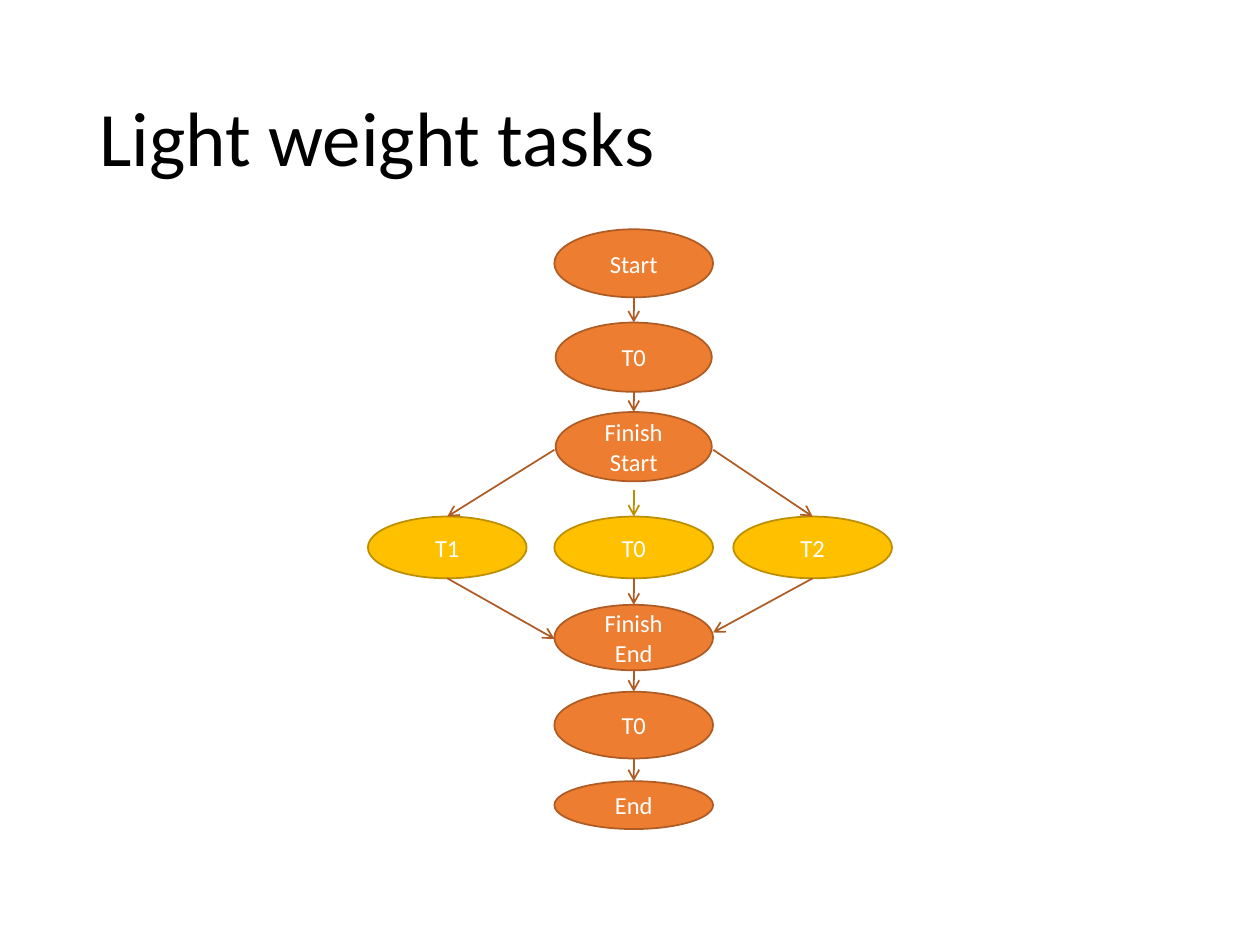
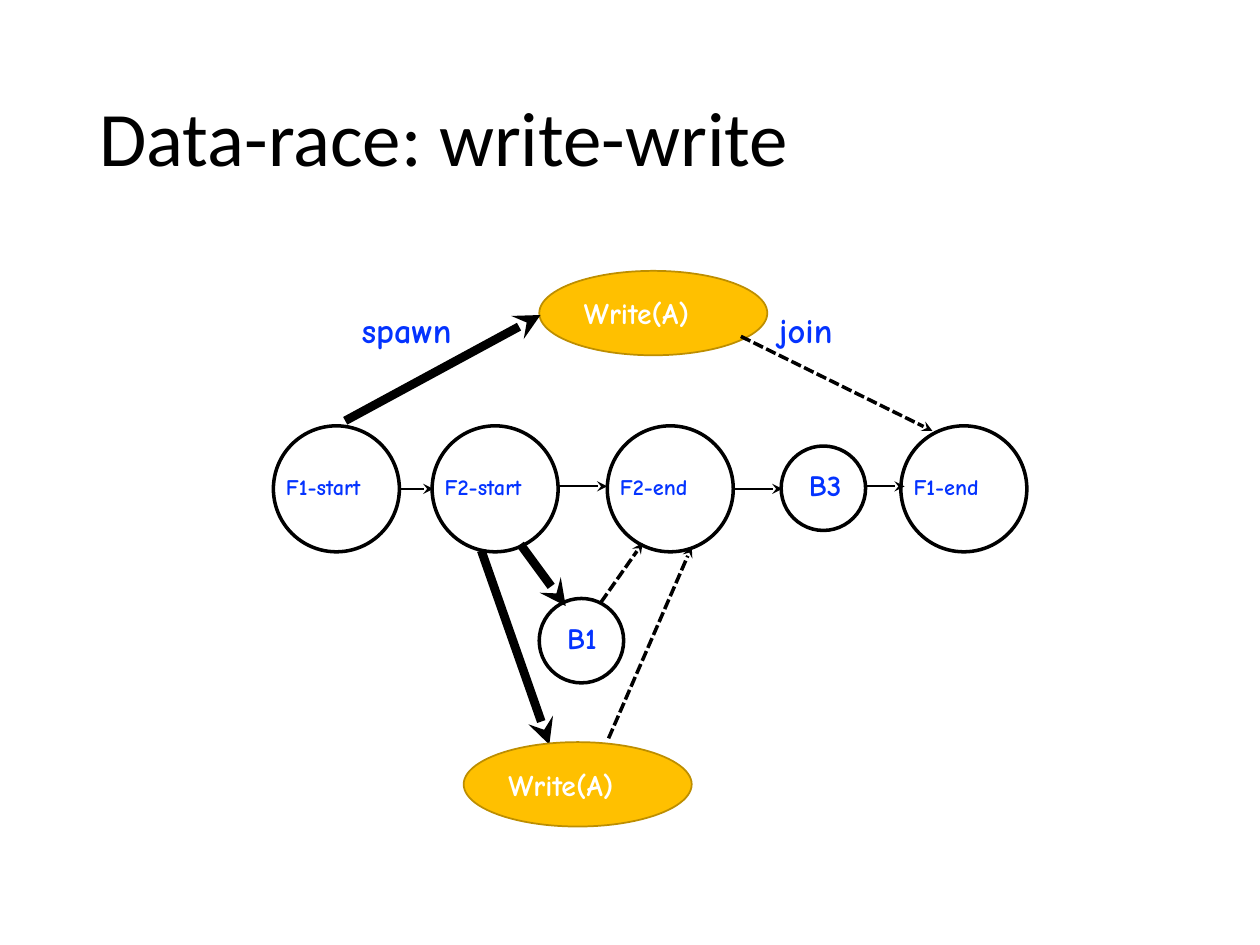
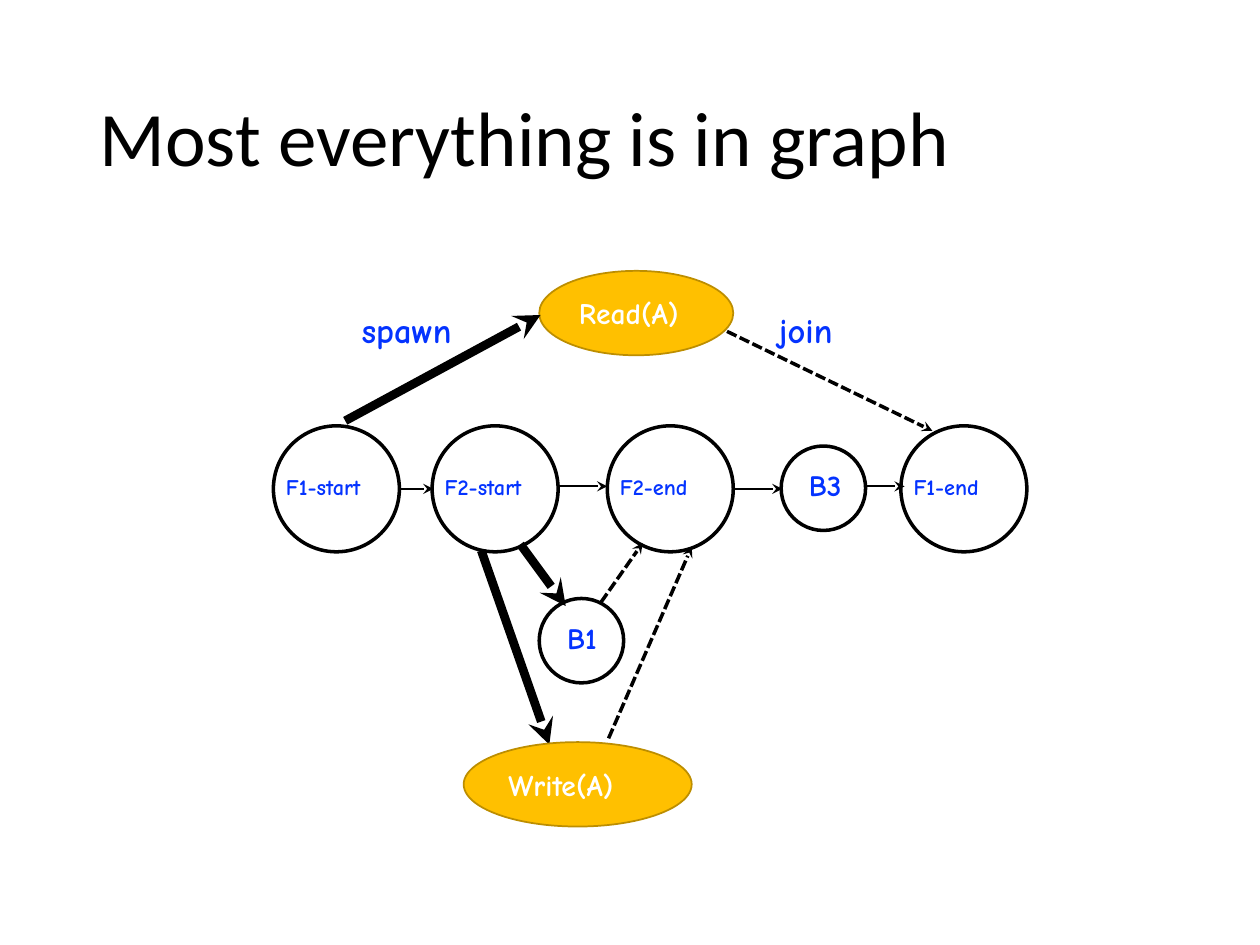
from collections import namedtuple
from dataclasses import dataclass

from pptx import Presentation
from pptx.dml.color import RGBColor
from pptx.enum.dml import MSO_LINE
from pptx.enum.shapes import MSO_CONNECTOR, MSO_SHAPE
from pptx.enum.text import MSO_ANCHOR, MSO_AUTO_SIZE, PP_ALIGN
from pptx.oxml.ns import qn
from pptx.util import Inches, Pt

OVAL = MSO_SHAPE.OVAL
STRAIGHT = MSO_CONNECTOR.STRAIGHT
DASHED = MSO_LINE.SQUARE_DOT
MIDDLE = MSO_ANCHOR.MIDDLE
LEFT, CENTER = PP_ALIGN.LEFT, PP_ALIGN.CENTER
FIT_SHAPE = MSO_AUTO_SIZE.SHAPE_TO_FIT_TEXT

Box = namedtuple("Box", "left top width height")


@dataclass(frozen=True)
class Theme:
    """Colours, fonts and type sizes of the deck."""
    black: str = "000000"
    white: str = "FFFFFF"
    orange: str = "ED7D31"
    orange_edge: str = "AF5C24"
    gold: str = "FFC000"
    gold_edge: str = "BD8E00"
    blue: str = "0433FF"
    body_font: str = "Calibri"
    graph_font: str = "Comic Neue"
    title_size: float = 44
    task_size: float = 14
    stage_size: float = 12.7
    node_size: float = 16.9
    edge_size: float = 19.7


THEME = Theme()
TITLE_BOX = Box(0.69, 0.4, 8.62, 1.45)
FLOW_BOX = Box(2.92, 1.82, 4.16, 4.76)
GRAPH_BOX = Box(2.17, 2.15, 5.98, 4.41)


def place(box, left, top, width, height):
    """Return the lengths of a part whose place is relative to the box."""
    return [Inches(value) for value in (box.left + left, box.top + top, width, height)]


def write(text_frame, text, font, size, color, align=LEFT, bold=False):
    """Set the text, one paragraph a line, and format its runs."""
    text_frame.text = text
    for paragraph in text_frame.paragraphs:
        paragraph.alignment = align
        for run in paragraph.runs:
            run.font.name = font
            run.font.size = Pt(size)
            run.font.bold = bold
            run.font.color.rgb = RGBColor.from_string(color)


def write_graph_text(text_frame, text, size, color, indent):
    """Write bold left-aligned graph lettering with narrow margins."""
    write(text_frame, text, THEME.graph_font, size, color, bold=True)
    for side in ("left", "top", "right", "bottom"):
        setattr(text_frame, f"margin_{side}", Inches(0.06))
    text_frame.paragraphs[0]._p.get_or_add_pPr().set("marL", str(Inches(indent)))


def add_oval(slide, lengths, fill, edge, line_width=1):
    """Add an outlined oval without shadow."""
    shape = slide.shapes.add_shape(OVAL, *lengths)
    shape.shadow.inherit = False
    shape.fill.solid()
    shape.fill.fore_color.rgb = RGBColor.from_string(fill)
    shape.line.color.rgb = RGBColor.from_string(edge)
    shape.line.width = Pt(line_width)
    shape.text_frame.vertical_anchor = MIDDLE
    return shape


def add_arrow(slide, box, start, end, color, width=1, head="stealth", dash=None):
    """Add a straight arrow between two points relative to the box."""
    points = [Inches(value) for x, y in (start, end)
              for value in (box.left + x, box.top + y)]
    connector = slide.shapes.add_connector(STRAIGHT, *points)
    line = connector.line
    line.color.rgb = RGBColor.from_string(color)
    line.width = Pt(width)
    if dash is not None:
        line.dash_style = dash
    tail = line._ln.makeelement(qn("a:tailEnd"), {"type": head})
    line._ln.append(tail)
    properties = connector._element.spPr
    properties.append(properties.makeelement(qn("a:effectLst"), {}))


def add_title(slide, box, text):
    """Add the slide title."""
    title = slide.shapes.add_textbox(*place(box, 0, 0, box.width, box.height))
    frame = title.text_frame
    frame.word_wrap = True
    frame.vertical_anchor = MIDDLE
    write(frame, text, THEME.body_font, THEME.title_size, THEME.black)
    frame.paragraphs[0].line_spacing = 0.9


def add_task(slide, box, text, center, top, height, width=1.26, parallel=False):
    """Add one task oval, centred on a column of the flow."""
    fill, edge = ((THEME.gold, THEME.gold_edge) if parallel
                  else (THEME.orange, THEME.orange_edge))
    lengths = place(box, center - width / 2, top, width, height)
    shape = add_oval(slide, lengths, fill, edge)
    write(shape.text_frame, text, THEME.body_font, THEME.task_size, THEME.white, CENTER)


def add_task_flow(slide, box):
    """Draw a column of tasks that forks into three and joins again."""
    left_center, center, right_center = 0.63, 2.11, 3.53
    fork_top, fork_height = 2.28, 0.49
    fork_bottom = fork_top + fork_height
    column = [  # text, top, height, width, runs in parallel
        ("Start", 0, 0.54, 1.26, False),
        ("T0", 0.74, 0.55, 1.24, False),
        ("Finish Start", 1.45, 0.55, 1.24, False),
        ("T0", fork_top, fork_height, 1.26, True),
        ("Finish\nEnd", 2.98, 0.52, 1.26, False),
        ("T0", 3.67, 0.53, 1.26, False),
        ("End", 4.38, 0.38, 1.26, False),
    ]
    for text, top, height, width, parallel in column:
        add_task(slide, box, text, center, top, height, width, parallel)
    for text, middle in (("T1", left_center), ("T2", right_center)):
        add_task(slide, box, text, middle, fork_top, fork_height, parallel=True)

    for (_, top, height, *_), (_, next_top, _, _, parallel) in zip(column, column[1:]):
        start = top + height + (0.07 if parallel else 0)
        color = THEME.gold_edge if parallel else THEME.orange_edge
        add_arrow(slide, box, (center, start), (center, next_top), color, head="arrow")
    for middle, side, join_y in ((left_center, 1.48, 3.25), (right_center, 2.74, 3.20)):
        for start, end in (((side, 1.75), (middle, fork_top)),
                           ((middle, fork_bottom), (side, join_y))):
            add_arrow(slide, box, start, end, THEME.orange_edge, head="arrow")


def add_label(slide, box, text, left, top, width, height, size):
    """Add a blue graph label that does not wrap."""
    label = slide.shapes.add_textbox(*place(box, left, top, width, height))
    write_graph_text(label.text_frame, text, size, THEME.blue, 0.04)
    label.text_frame.word_wrap = False
    label.text_frame.auto_size = FIT_SHAPE


def add_access(slide, box, text, left, top, width):
    """Add a gold oval that stands for a memory access."""
    shape = add_oval(slide, place(box, left, top, width, 0.67),
                     THEME.gold, THEME.gold_edge)
    write_graph_text(shape.text_frame, text, THEME.node_size, THEME.white, 0.03)


def add_race_graph(slide, box, access, access_width, join_start):
    """Draw the spawn and join graph; the upper access varies by slide."""
    stages = (("F1-start", 0, 0.96), ("F2-start", 1.26, 0.96),
              ("F2-end", 2.65, 0.82), ("F1-end", 4.98, 0.82))
    for text, left, label_width in stages:
        add_oval(slide, place(box, left, 1.23, 1, 1), THEME.white, THEME.black, 2)
        add_label(slide, box, text, left, 1.55, label_width, 0.33, THEME.stage_size)
    for text, left, top in (("B1", 2.11, 2.6), ("B3", 4.03, 1.39)):
        add_oval(slide, place(box, left, top, 0.67, 0.67), THEME.white, THEME.black, 2)
        add_label(slide, box, text, left + 0.12, top + 0.11, 0.49, 0.4, THEME.node_size)
    add_access(slide, box, access, 2.11, 0, access_width)

    spawns = (((0.57, 1.19), (2.12, 0.35)), ((1.96, 2.17), (2.32, 2.66)),
              ((1.65, 2.22), (2.19, 3.76)))
    joins = (((2.6, 2.63), (2.93, 2.16)), ((2.66, 3.71), (3.32, 2.19)),
             (join_start, (5.23, 1.27)))
    steps = (((1, 1.73), (1.27, 1.73)), ((2.26, 1.71), (2.65, 1.71)),
             ((3.65, 1.73), (4.04, 1.73)), ((4.69, 1.71), (5.01, 1.71)))
    for edges, width, dash in ((spawns, 5, None), (joins, 2, DASHED), (steps, 1, None)):
        for start, end in edges:
            add_arrow(slide, box, start, end, THEME.black, width, dash=dash)

    for text, left, width in (("spawn", 0.6, 0.97), ("join", 3.91, 0.68)):
        add_label(slide, box, text, left, 0.24, width, 0.44, THEME.edge_size)
    add_access(slide, box, "Write(A)", 1.51, 3.74, 1.81)


def add_titled_slide(presentation, title):
    """Add a blank slide with a title."""
    slide = presentation.slides.add_slide(presentation.slide_layouts[6])
    add_title(slide, TITLE_BOX, title)
    return slide


def main():
    """Build and save the deck."""
    presentation = Presentation()
    presentation.slide_width = Inches(10)
    presentation.slide_height = Inches(7.5)

    add_task_flow(add_titled_slide(presentation, "Light weight tasks"), FLOW_BOX)
    for title, access, access_width, join_start in (
            ("Data-race: write-write", "Write(A)", 1.81, (3.71, 0.52)),
            ("Most everything is in graph", "Read(A)", 1.54, (3.6, 0.48))):
        slide = add_titled_slide(presentation, title)
        add_race_graph(slide, GRAPH_BOX, access, access_width, join_start)

    presentation.save("out.pptx")


main()
